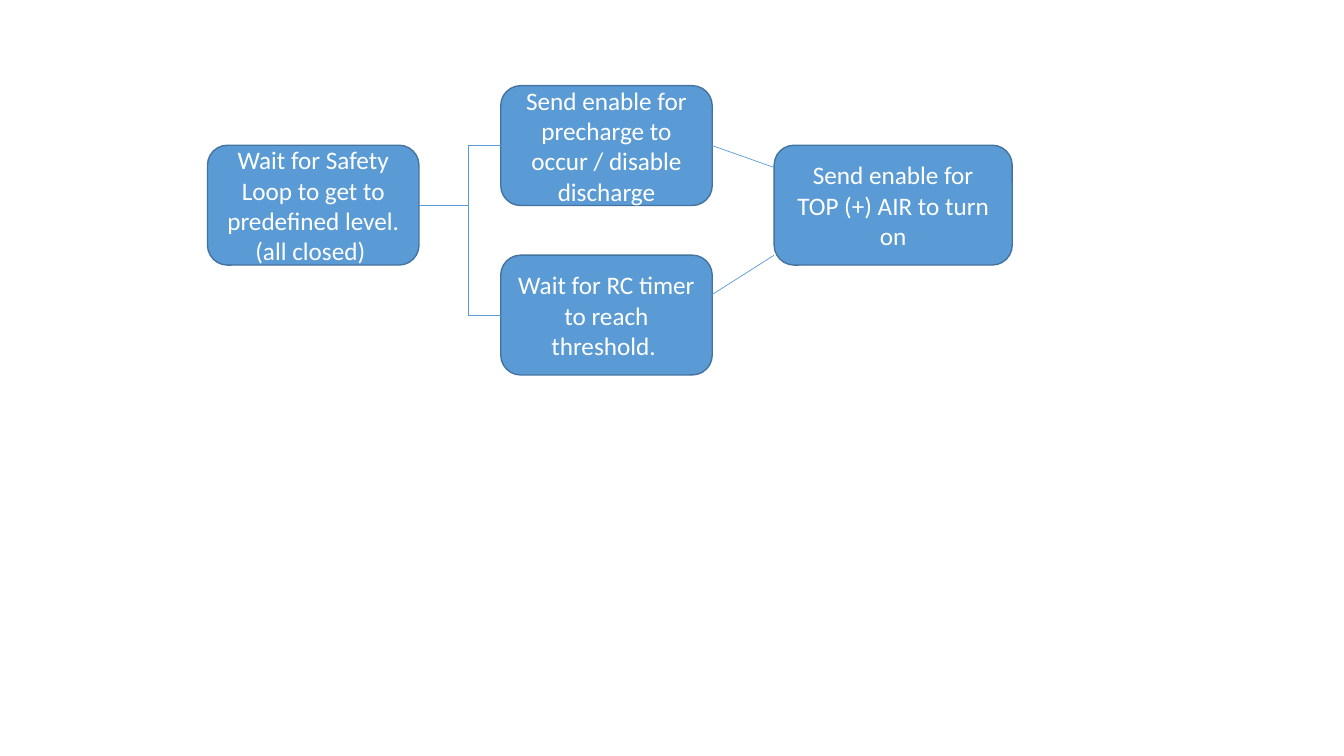
"""Build the precharge sequence flow diagram slide."""
from dataclasses import dataclass

from lxml.etree import SubElement
from pptx import Presentation
from pptx.dml.color import RGBColor
from pptx.enum.shapes import MSO_CONNECTOR as CONN, MSO_SHAPE as SHAPE
from pptx.enum.text import MSO_ANCHOR as ANCHOR, PP_ALIGN as ALIGN
from pptx.oxml.ns import qn
from pptx.slide import Slide
from pptx.util import Cm, Pt


@dataclass(frozen=True)
class Theme:
    fill: RGBColor = RGBColor(0x5B, 0x9B, 0xD5)
    outline: RGBColor = RGBColor(0x43, 0x73, 0x9E)
    text: RGBColor = RGBColor(0xFF, 0xFF, 0xFF)
    font: str = "Calibri"
    size: Pt = Pt(18)
    outline_width: Pt = Pt(1)
    link_width: Pt = Pt(0.5)


@dataclass(frozen=True)
class Step:
    text: str
    left: float
    top: float
    width: float = 5.33
    height: float = 3.02

    @property
    def right(self) -> float:
        return self.left + self.width

    @property
    def bottom(self) -> float:
        return self.top + self.height

    @property
    def middle(self) -> float:
        return self.top + self.height / 2


@dataclass(frozen=True)
class Link:
    x1: float
    y1: float
    x2: float
    y2: float


THEME = Theme()
FONT = {"name": THEME.font, "size": THEME.size}

SAFETY = Step("Wait for Safety Loop to get to predefined level. (all closed) ", 5.23, 3.66)
TIMER = Step("Wait for RC timer to reach threshold. ", 12.62, 6.43)
PRECHARGE = Step("Send enable for precharge to occur / disable discharge", 12.62, 2.16)
AIR = Step("Send enable for TOP (+) AIR to turn on", 19.51, 3.66, width=6)
STEPS = (SAFETY, TIMER, PRECHARGE, AIR)

FORK = 11.8
LINKS = (
    Link(SAFETY.right, SAFETY.middle, FORK, SAFETY.middle),
    *(
        link
        for branch in (PRECHARGE, TIMER)
        for link in (
            Link(FORK, SAFETY.middle, FORK, branch.middle),
            Link(FORK, branch.middle, branch.left, branch.middle),
        )
    ),
    Link(PRECHARGE.right, PRECHARGE.middle, AIR.left, 4.22),
    Link(TIMER.right, 7.42, AIR.left, TIMER.top),
)


def draw_step(s: Slide, step: Step) -> None:
    sp = s.shapes.add_shape(
        SHAPE.ROUNDED_RECTANGLE,
        *(Cm(v) for v in (step.left, step.top, step.width, step.height)),
    )
    sp.shadow.inherit = False
    sp.fill.solid()
    sp.fill.fore_color.rgb = THEME.fill
    sp.line.color.rgb = THEME.outline
    sp.line.width = THEME.outline_width
    tf = sp.text_frame
    tf.word_wrap = True
    tf.vertical_anchor = ANCHOR.MIDDLE
    p = tf.paragraphs[0]
    p.alignment = ALIGN.CENTER
    r = p.add_run()
    r.text = step.text
    for name, value in FONT.items():
        setattr(r.font, name, value)
    r.font.color.rgb = THEME.text


def draw_link(s: Slide, link: Link) -> None:
    cxn = s.shapes.add_connector(
        CONN.STRAIGHT, *(Cm(v) for v in (link.x1, link.y1, link.x2, link.y2))
    )
    cxn.line.color.rgb = THEME.fill
    cxn.line.width = THEME.link_width
    SubElement(cxn._element.spPr, qn("a:effectLst"))


def main() -> None:
    prs = Presentation()
    prs.slide_width, prs.slide_height = Cm(33.87), Cm(19.05)
    s = prs.slides.add_slide(prs.slide_layouts[6])
    for step in STEPS:
        draw_step(s, step)
    for link in LINKS:
        draw_link(s, link)
    prs.save("out.pptx")


main()
